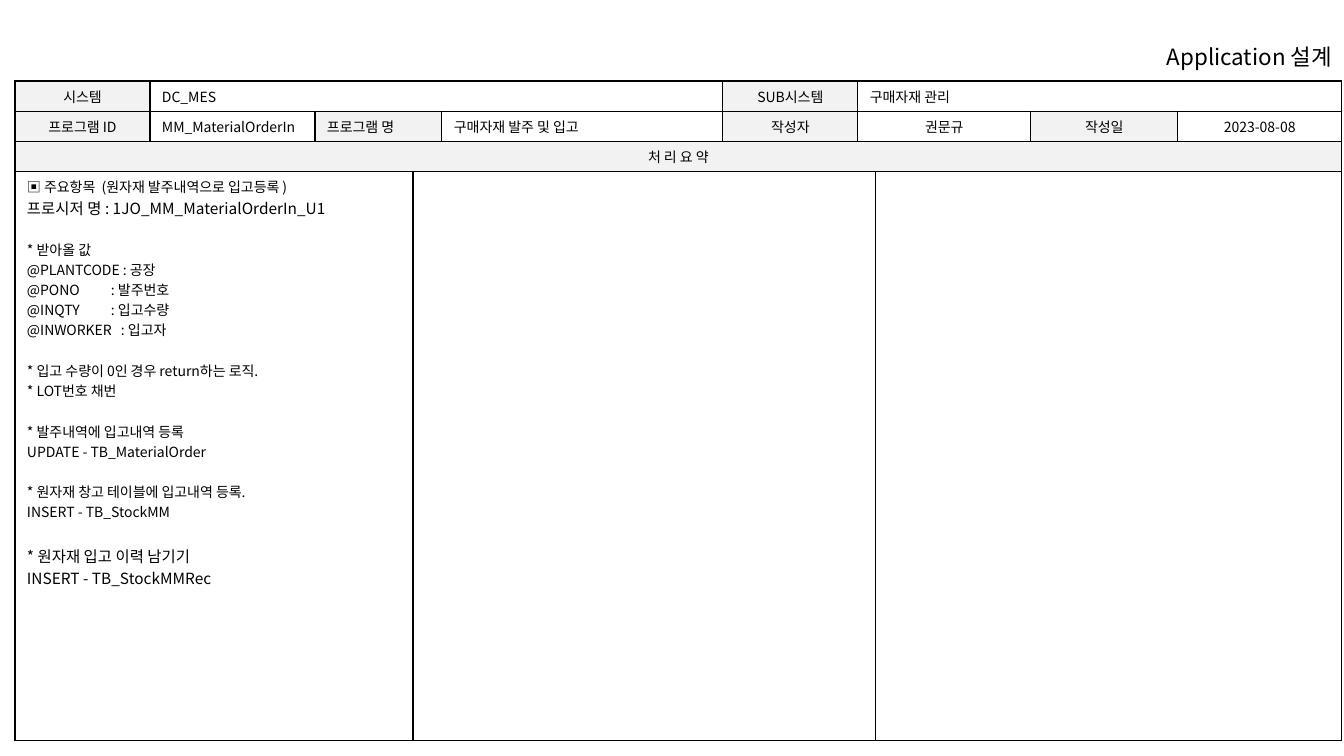
from lxml.etree import SubElement
from pptx import Presentation
from pptx.dml.color import RGBColor
from pptx.enum.text import MSO_ANCHOR, MSO_AUTO_SIZE, PP_ALIGN
from pptx.oxml.ns import qn
from pptx.util import Emu, Pt

PX = 914400 / 100.8
FONT = "Noto Sans CJK KR"
COLORS = {"ink": "000000", "label": "F2F2F2"}


def px(pixels):
    return Emu(round(pixels * PX))


def style(paragraph, size, align):
    paragraph.alignment = align
    font = paragraph.font
    font.size = Pt(size)
    font.bold = False
    font.name = FONT
    font.color.rgb = RGBColor.from_string(COLORS["ink"])
    defaults = paragraph._p.pPr.find(qn("a:defRPr"))
    SubElement(defaults, qn("a:ea"), typeface=FONT)


presentation = Presentation()
presentation.slide_width = px(1344)
presentation.slide_height = px(756)
slide = presentation.slides.add_slide(presentation.slide_layouts[5])

heading = slide.shapes.title
heading.left, heading.top, heading.width, heading.height = map(px, (1043, 40, 299, 33))
heading.text_frame.text = "Application 설계"
heading.text_frame.auto_size = MSO_AUTO_SIZE.NONE
heading.text_frame.vertical_anchor = MSO_ANCHOR.MIDDLE
style(heading.text_frame.paragraphs[0], 16, PP_ALIGN.RIGHT)

column_widths = [135, 165, 98, 29, 281, 135, 18, 155, 147, 164]
row_heights = [28, 27, 28, 569]
form = slide.shapes.add_table(
    len(row_heights), len(column_widths), px(15), px(81),
    px(sum(column_widths)), px(sum(row_heights)),
).table
form.first_row = False
form.horz_banding = False
for column, width in zip(form.columns, column_widths):
    column.width = px(width)
for row, height in zip(form.rows, row_heights):
    row.height = px(height)

for cell in form.iter_cells():
    cell.margin_left = cell.margin_right = px(12)
    cell.margin_top = cell.margin_bottom = px(5)
    for edge in ("a:lnL", "a:lnR", "a:lnT", "a:lnB"):
        border = SubElement(cell._tc.get_or_add_tcPr(), qn(edge), w=str(Pt(1)))
        border_fill = SubElement(border, qn("a:solidFill"))
        SubElement(border_fill, qn("a:srgbClr"), val=COLORS["ink"])
    cell.fill.background()

LEFT, CENTER = PP_ALIGN.LEFT, PP_ALIGN.CENTER
fields = [
    (0, 0, 1, "시스템", CENTER, True),
    (0, 1, 4, "DC_MES", LEFT, False),
    (0, 5, 1, "SUB시스템", CENTER, True),
    (0, 6, 4, "구매자재 관리", LEFT, False),
    (1, 0, 1, "프로그램 ID", CENTER, True),
    (1, 1, 1, "MM_MaterialOrderIn", LEFT, False),
    (1, 2, 2, "프로그램 명", LEFT, True),
    (1, 4, 1, "구매자재 발주 및 입고", LEFT, False),
    (1, 5, 1, "작성자", CENTER, True),
    (1, 6, 2, "권문규", CENTER, False),
    (1, 8, 1, "작성일", CENTER, True),
    (1, 9, 1, "2023-08-08", CENTER, False),
    (2, 0, 10, "처 리 요 약", CENTER, True),
]
for row, column, span, text, align, is_label in fields:
    cell = form.cell(row, column)
    if span > 1:
        cell.merge(form.cell(row, column + span - 1))
    cell.text = text
    style(cell.text_frame.paragraphs[0], 10, align)
    if is_label:
        cell.fill.solid()
        cell.fill.fore_color.rgb = RGBColor.from_string(COLORS["label"])

for first, last in ((0, 2), (3, 6), (7, 9)):
    form.cell(3, first).merge(form.cell(3, last))

summary = [
    ("▣ 주요항목  (원자재 발주내역으로 입고등록 )", 10, 0),
    ("프로시저 명 : 1JO_MM_MaterialOrderIn_U1", 11, 0),
    ("* 받아올 값", 10, 14.5),
    ("@PLANTCODE : 공장", 10, 0),
    ("@PONO\t: 발주번호", 10, 0),
    ("@INQTY\t: 입고수량", 10, 0),
    ("@INWORKER\t: 입고자", 10, 0),
    ("* 입고 수량이 0인 경우 return하는 로직.", 10, 14.5),
    ("* LOT번호 채번", 10, 0),
    ("* 발주내역에 입고내역 등록", 10, 14.5),
    ("UPDATE - TB_MaterialOrder", 10, 0),
    ("* 원자재 창고 테이블에 입고내역 등록.", 10, 14.5),
    ("INSERT - TB_StockMM", 10, 0),
    ("* 원자재 입고 이력 남기기", 11, 16),
    ("INSERT - TB_StockMMRec", 11, 0),
]
colon_stops = {"@PONO": 84, "@INQTY": 84, "@INWORKER": 94}
notes = form.cell(3, 0).text_frame
notes.text = "\n".join(text for text, size, gap in summary)
for paragraph, (text, size, gap) in zip(notes.paragraphs, summary):
    paragraph.space_before = Pt(gap)
    parameter = text.split("\t")[0]
    if parameter in colon_stops:
        stops = SubElement(paragraph._p.get_or_add_pPr(), qn("a:tabLst"))
        SubElement(stops, qn("a:tab"), pos=str(px(colon_stops[parameter])), algn="l")
    style(paragraph, size, LEFT)

presentation.save("out.pptx")
